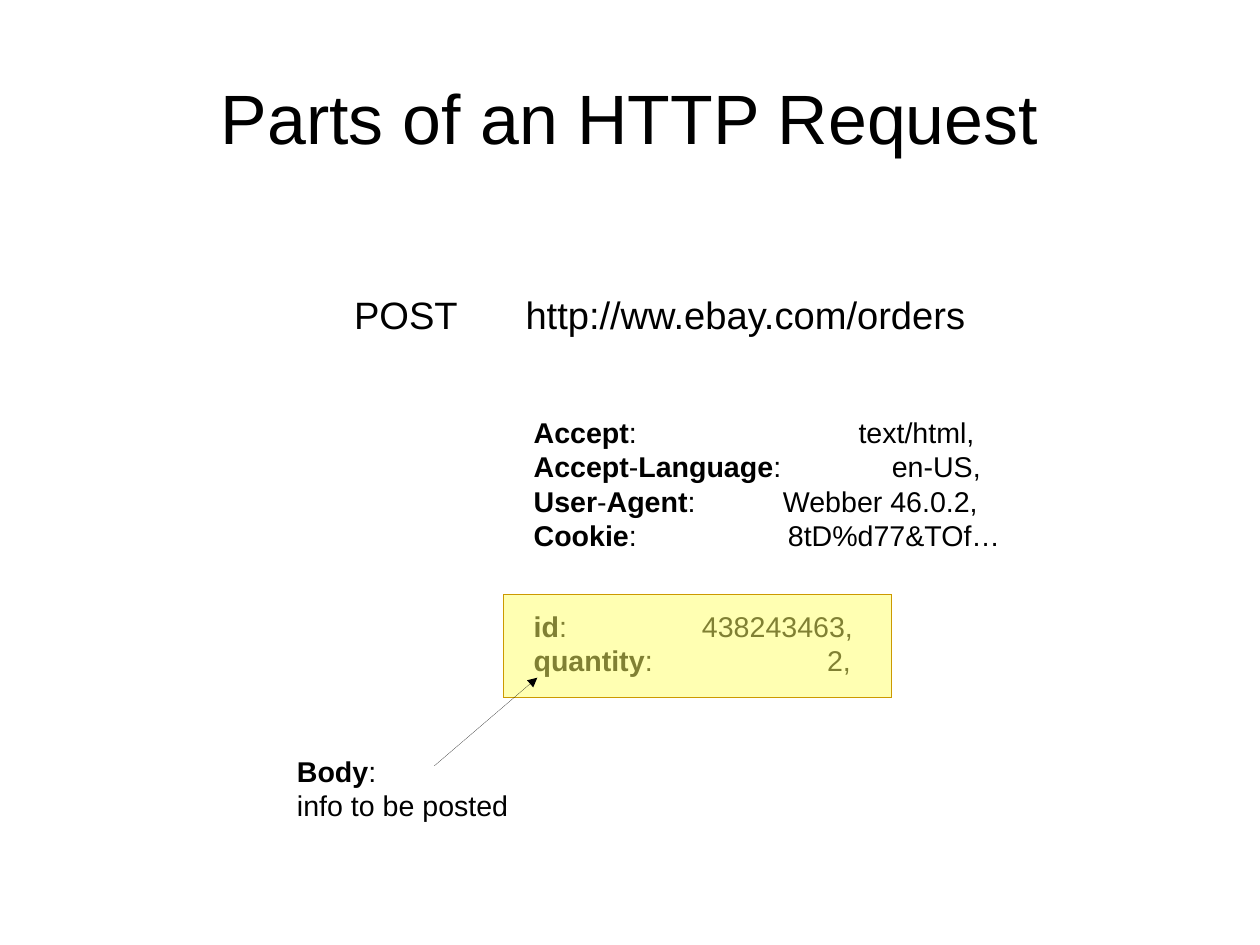
from lxml.etree import SubElement
from pptx import Presentation
from pptx.dml.color import RGBColor
from pptx.enum.shapes import MSO_CONNECTOR as CONNECTOR, MSO_SHAPE as SHAPE
from pptx.enum.text import MSO_ANCHOR as ANCHOR, PP_ALIGN as ALIGN
from pptx.oxml.ns import qn
from pptx.util import Cm, Pt

BLACK = "000000"
HAIRLINE = Pt(0.01)
FIELD_LEFT = 11.61
HEADERS = [
    ("Accept", "text/html,", 7.22),
    ("Accept-Language", "en-US,", 7.96),
    ("User-Agent", "Webber 46.0.2,", 5.54),
    ("Cookie", "8tD%d77&TOf…", 5.65),
]
BODY_FIELDS = [("id", "438243463,", 3.74), ("quantity", "2,", 6.52)]


def color(hex_string):
    """Return the colour for a hex string."""
    return RGBColor.from_string(hex_string)


def style(run, size, bold=False):
    """Set the font of a run."""
    run.font.name = "Arial"
    run.font.size = Pt(size)
    run.font.bold = bold
    run.font.color.rgb = color(BLACK)


def add_frame(slide, left, top, width, height):
    """Add an empty wrapping text box and return its text frame."""
    frame = slide.shapes.add_textbox(Cm(left), Cm(top), Cm(width), Cm(height)).text_frame
    frame.word_wrap = True
    return frame


def add_line_of_text(slide, text, size, left, top, width, height):
    """Add a text box with one plain line and return its text frame."""
    frame = add_frame(slide, left, top, width, height)
    frame.text = text
    style(frame.paragraphs[0].runs[0], size)
    return frame


def add_run(paragraph, text, bold=False):
    """Append a run of field text."""
    run = paragraph.add_run()
    run.text = text
    style(run, 18, bold)


def add_field_name(paragraph, name):
    """Write a field name with bold words, plain hyphens and a colon."""
    for index, word in enumerate(name.split("-")):
        if index:
            add_run(paragraph, "-")
        add_run(paragraph, word, bold=True)
    add_run(paragraph, ":")


def add_fields(slide, fields, top, width, height):
    """Add one line per field, each value at its own tab stop."""
    frame = add_frame(slide, FIELD_LEFT, top, width, height)
    for index, (name, value, stop) in enumerate(fields):
        paragraph = frame.add_paragraph() if index else frame.paragraphs[0]
        tabs = SubElement(paragraph._p.get_or_add_pPr(), qn("a:tabLst"))
        SubElement(tabs, qn("a:tab"), pos=str(Cm(stop)), algn="l")
        add_field_name(paragraph, name)
        add_run(paragraph, "\t" + value)


def add_highlight(slide, left, top, width, height):
    """Add the half-transparent yellow rectangle over the body."""
    highlight = slide.shapes.add_shape(
        SHAPE.RECTANGLE, Cm(left), Cm(top), Cm(width), Cm(height))
    highlight.shadow.inherit = False
    highlight.fill.solid()
    highlight.fill.fore_color.rgb = color("FFFF66")
    yellow = highlight._element.spPr.find(qn("a:solidFill"))[0]
    SubElement(yellow, qn("a:alpha"), val="50000")
    highlight.line.color.rgb = color("CC9900")
    highlight.line.width = HAIRLINE


def add_arrow(slide, start_x, start_y, end_x, end_y):
    """Add a hairline arrow."""
    arrow = slide.shapes.add_connector(
        CONNECTOR.STRAIGHT, Cm(start_x), Cm(start_y), Cm(end_x), Cm(end_y))
    arrow.line.color.rgb = color(BLACK)
    arrow.line.width = HAIRLINE
    properties = arrow._element.spPr
    SubElement(properties.find(qn("a:ln")), qn("a:tailEnd"), type="triangle")
    SubElement(properties, qn("a:effectLst"))


def add_body_note(slide, left, top, width, height):
    """Add the note that explains the body."""
    frame = add_frame(slide, left, top, width, height)
    add_field_name(frame.paragraphs[0], "Body")
    add_run(frame.add_paragraph(), "info to be posted")


def main():
    """Build the slide and save it."""
    deck = Presentation()
    deck.slide_width, deck.slide_height = Cm(28), Cm(21)
    slide = deck.slides.add_slide(deck.slide_layouts[6])

    title = add_line_of_text(slide, "Parts of an HTTP Request", 44, 1.4, 0.84, 25.2, 3.5)
    title.vertical_anchor = ANCHOR.MIDDLE
    title.margin_left = title.margin_right = title.margin_top = title.margin_bottom = 0
    title.paragraphs[0].alignment = ALIGN.CENTER

    add_line_of_text(slide, "POST", 24, 7.62, 6.35, 3, 1.2)
    add_line_of_text(slide, "http://ww.ebay.com/orders", 24, 11.43, 6.35, 10.6, 1.2)
    add_fields(slide, HEADERS, 9.1, 11.2, 3.1)
    add_fields(slide, BODY_FIELDS, 13.4, 8, 1.68)
    add_highlight(slide, 11.18, 13.21, 8.64, 2.29)
    add_body_note(slide, 6.35, 16.62, 5.5, 1.68)
    add_arrow(slide, 9.65, 17.02, 11.94, 15.06)
    deck.save("out.pptx")


if __name__ == "__main__":
    main()
